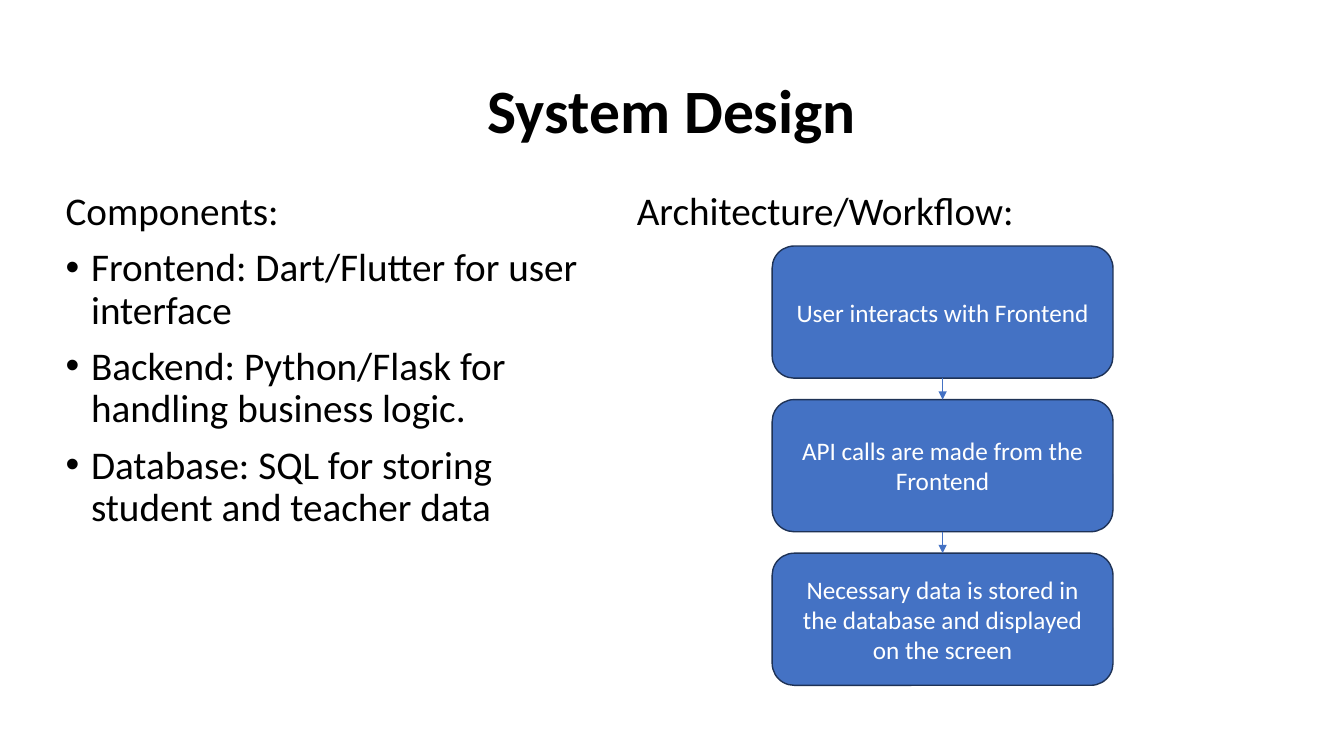
from dataclasses import dataclass

from lxml import etree
from pptx import Presentation
from pptx import util as u
from pptx.dml.color import RGBColor
from pptx.enum import shapes, text
from pptx.oxml.ns import qn


@dataclass(frozen=True)
class Theme:
    """Colours, font and type sizes of the slide."""

    font: str = "Calibri"
    ink: RGBColor = RGBColor(0, 0, 0)
    white: RGBColor = RGBColor(255, 255, 255)
    blue: RGBColor = RGBColor(0x44, 0x72, 0xC4)
    navy: RGBColor = RGBColor(0x1E, 0x32, 0x56)
    title: int = 44
    body: int = 28
    step: int = 18
    spacing: float = 0.9
    space_before: int = 10


THEME = Theme()
COMPONENTS = [
    "Frontend: Dart/Flutter for user interface",
    "Backend: Python/Flask for handling business logic.",
    "Database: SQL for storing student and teacher data",
]
STEPS = [
    "User interacts with Frontend",
    "API calls are made from the Frontend",
    "Necessary data is stored in the database and displayed on the screen",
]


def place(shape, box):
    """Move a shape to a box of left, top, width and height in centimetres."""
    shape.left, shape.top, shape.width, shape.height = map(u.Cm, box)


def style(paragraph, size, colour=THEME.ink, bold=False):
    """Set the font of a whole paragraph."""
    font = paragraph.font
    font.name, font.size, font.bold = THEME.font, u.Pt(size), bold
    font.color.rgb = colour


def style_body(paragraph):
    """Give a paragraph the body font and spacing."""
    style(paragraph, THEME.body)
    paragraph.line_spacing = THEME.spacing
    paragraph.space_before = u.Pt(THEME.space_before)


def set_bullet(paragraph, bulleted):
    """Turn the bullet and hanging indent of a paragraph on or off."""
    properties = paragraph._p.get_or_add_pPr()
    indent = u.Cm(0.64) if bulleted else 0
    properties.set("marL", str(indent))
    properties.set("indent", str(-indent))
    if bulleted:
        font = etree.SubElement(properties, qn("a:buFont"))
        font.set("typeface", "Arial")
        etree.SubElement(properties, qn("a:buChar")).set("char", "•")
    else:
        etree.SubElement(properties, qn("a:buNone"))


def add_title(slide, box, wording):
    """Fill the title placeholder."""
    title = slide.shapes.title
    place(title, box)
    frame = title.text_frame
    frame.text = wording
    frame.vertical_anchor = text.MSO_ANCHOR.MIDDLE
    paragraph = frame.paragraphs[0]
    paragraph.alignment = text.PP_ALIGN.CENTER
    paragraph.line_spacing = THEME.spacing
    style(paragraph, THEME.title, bold=True)


def add_components(slide, box, heading, items):
    """Fill the body placeholder with a heading and a bulleted list."""
    body = slide.placeholders[1]
    place(body, box)
    frame = body.text_frame
    frame.text = "\n".join([heading, *items])
    frame.auto_size = text.MSO_AUTO_SIZE.NONE
    for index, paragraph in enumerate(frame.paragraphs):
        style_body(paragraph)
        set_bullet(paragraph, index > 0)


def add_step(slide, box, wording):
    """Draw one rounded workflow step."""
    step = slide.shapes.add_shape(
        shapes.MSO_SHAPE.ROUNDED_RECTANGLE, *map(u.Cm, box))
    step.shadow.inherit = False
    step.fill.solid()
    step.fill.fore_color.rgb = THEME.blue
    step.line.color.rgb = THEME.navy
    step.line.width = u.Pt(1)
    frame = step.text_frame
    frame.word_wrap = True
    frame.vertical_anchor = text.MSO_ANCHOR.MIDDLE
    frame.text = wording
    paragraph = frame.paragraphs[0]
    paragraph.alignment = text.PP_ALIGN.CENTER
    style(paragraph, THEME.step, THEME.white)
    return step


def add_arrow(slide, upper, lower):
    """Join two steps with a downward arrow."""
    arrow = slide.shapes.add_connector(shapes.MSO_CONNECTOR.STRAIGHT, 0, 0, 0, 0)
    arrow.begin_connect(upper, 2)
    arrow.end_connect(lower, 0)
    arrow.line.color.rgb = THEME.blue
    arrow.line.width = u.Pt(0.5)
    line = arrow.line._get_or_add_ln()
    etree.SubElement(line, qn("a:tailEnd")).set("type", "triangle")
    etree.SubElement(arrow._element.spPr, qn("a:effectLst"))


def add_workflow(slide, box, heading, wordings):
    """Draw the heading and the column of joined steps beneath it."""
    left, top, width, height = box
    label = slide.shapes.add_textbox(*map(u.Cm, (left, top, 10.11, 2.11)))
    frame = label.text_frame
    frame.word_wrap = False
    frame.text = heading
    style_body(frame.paragraphs[0])

    step_top, gap = top + 1.5, 0.54
    count = len(wordings)
    step_height = (top + height - step_top - gap * (count - 1)) / count
    steps = [
        add_step(slide, (left + 3.66, step_top + index * (step_height + gap),
                         width - 3.66, step_height), wording)
        for index, wording in enumerate(wordings)
    ]
    for upper, lower in zip(steps, steps[1:]):
        add_arrow(slide, upper, lower)


def main():
    """Build and save the slide."""
    presentation = Presentation()
    presentation.slide_width = u.Cm(33.87)
    presentation.slide_height = u.Cm(19.05)
    slide = presentation.slides.add_slide(presentation.slide_layouts[1])
    add_title(slide, (2.33, 1.02, 29.21, 3.68), "System Design")
    add_components(slide, (1.4, 4.7, 13.46, 12.09), "Components:", COMPONENTS)
    add_workflow(slide, (15.8, 4.7, 12.25, 12.57), "Architecture/Workflow:", STEPS)
    presentation.save("out.pptx")


if __name__ == "__main__":
    main()
